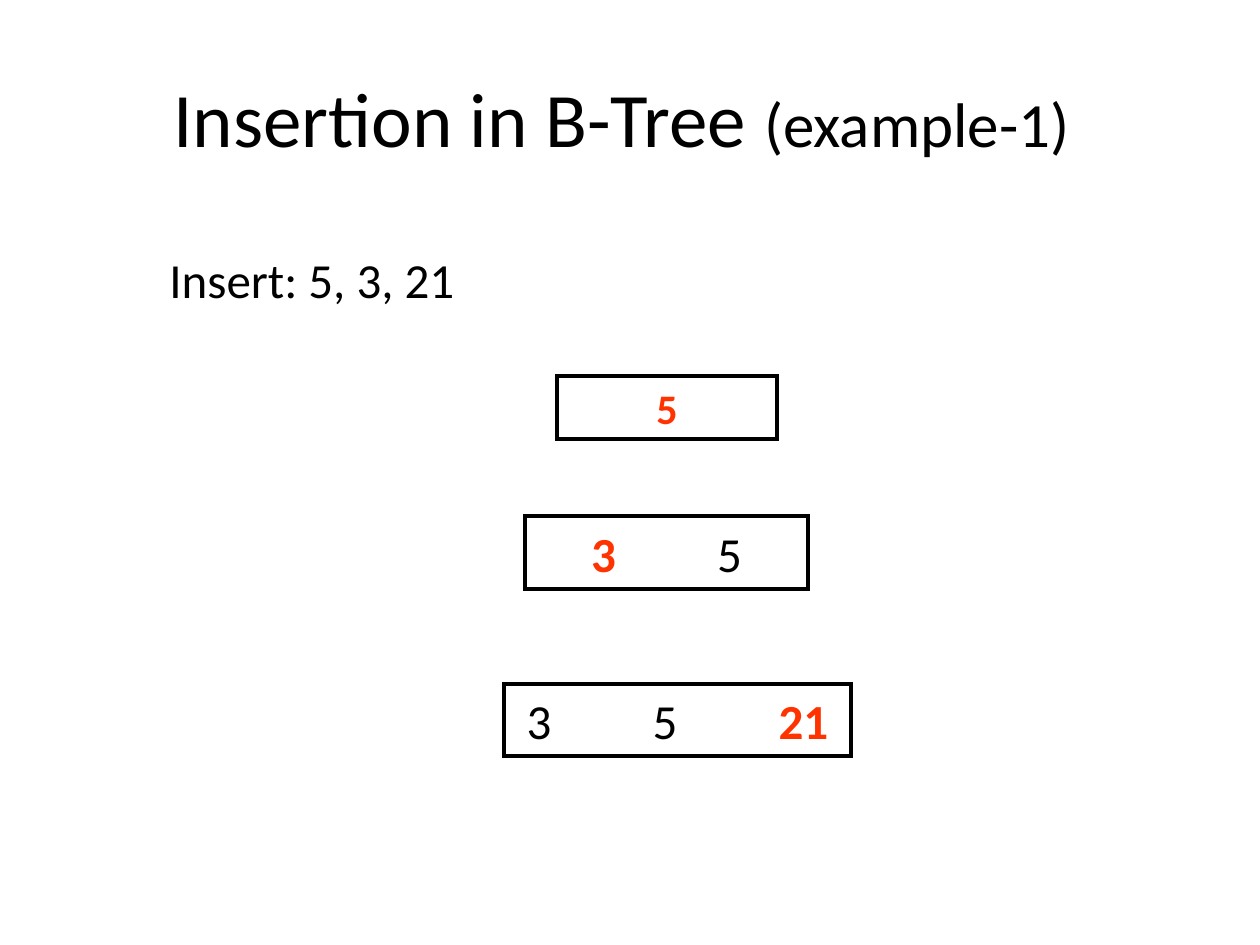
import pptx
import pptx.util
import pptx.dml.color
import pptx.enum.shapes
import pptx.enum.text
import pptx.oxml.ns
import lxml.etree

PX = pptx.util.Inches(1) / 126
BLACK = pptx.dml.color.RGBColor(0, 0, 0)
RED = pptx.dml.color.RGBColor(255, 51, 0)
MID = pptx.enum.text.MSO_ANCHOR.MIDDLE
CENTER = pptx.enum.text.PP_ALIGN.CENTER
TAB = 126


def px(*vals):
    return [round(val * PX) for val in vals]


def style(para, size):
    para.font.name = "Calibri"
    para.font.size = pptx.util.Pt(size)
    para.font.color.rgb = BLACK


prs = pptx.Presentation()
prs.slide_width, prs.slide_height = px(1260, 945)
slide = prs.slides.add_slide(prs.slide_layouts[6])

# Title, set a little left of the middle
box = slide.shapes.add_textbox(*px(63, 38, 1134, 157))
frame = box.text_frame
frame.word_wrap = True
frame.vertical_anchor = MID
frame.margin_right = px(29)[0]
para = frame.paragraphs[0]
para.alignment = CENTER
style(para, 44)
para.add_run().text = "Insertion in B-Tree "
run = para.add_run()
run.text = "(example-1)"
run.font.size = pptx.util.Pt(36)

# Keys to insert
box = slide.shapes.add_textbox(*px(157, 243, 325, 72))
para = box.text_frame.paragraphs[0]
para.text = "Insert: 5, 3, 21"
style(para, 28)

# Tree node after each step: box, text size, keys, newest key
nodes = [
    ((557, 376, 220, 63), 24, ["5"], "5"),
    ((525, 516, 283, 73), 28, ["3", "5"], "3"),
    ((504, 684, 347, 72), 28, ["3", "5", "21"], "21"),
]
for area, size, keys, fresh in nodes:
    node = slide.shapes.add_shape(
        pptx.enum.shapes.MSO_SHAPE.RECTANGLE, *px(*area))
    node.shadow.inherit = False
    node.fill.background()
    node.line.color.rgb = BLACK
    node.line.width = pptx.util.Pt(2)
    edge = node.line._get_or_add_ln()
    lxml.etree.SubElement(edge, pptx.oxml.ns.qn("a:miter"), lim="800000")
    frame = node.text_frame
    frame.word_wrap = True
    frame.vertical_anchor = MID
    para = frame.paragraphs[0]
    para.alignment = CENTER
    if len(keys) > 1:
        props = para._p.get_or_add_pPr()
        tabs = lxml.etree.SubElement(props, pptx.oxml.ns.qn("a:tabLst"))
        for step in range(1, len(keys)):
            lxml.etree.SubElement(tabs, pptx.oxml.ns.qn("a:tab"),
                                  pos=str(px(step * TAB)[0]), algn="l")
    style(para, size)
    for i, key in enumerate(keys):
        if i:
            para.add_run().text = "\t"
        run = para.add_run()
        run.text = key
        run.font.bold = key == fresh
        run.font.color.rgb = RED if key == fresh else BLACK

prs.save("out.pptx")
